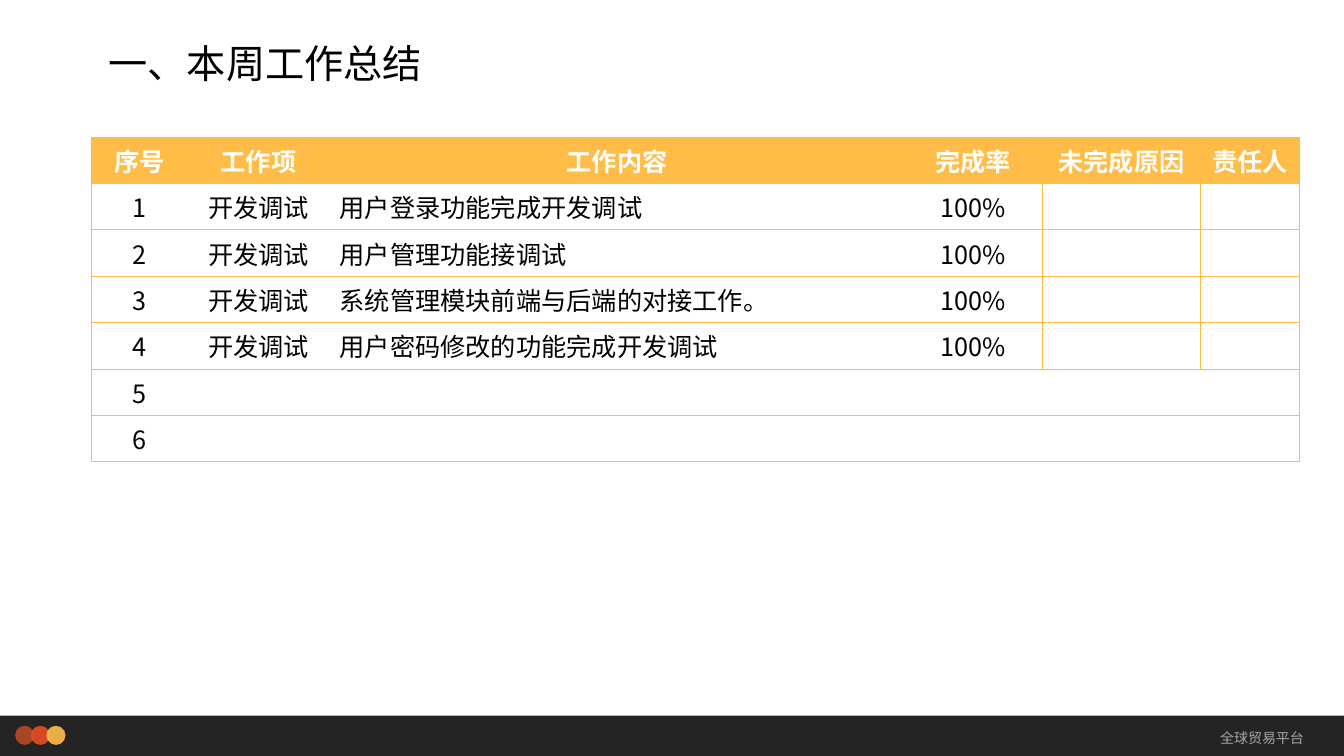
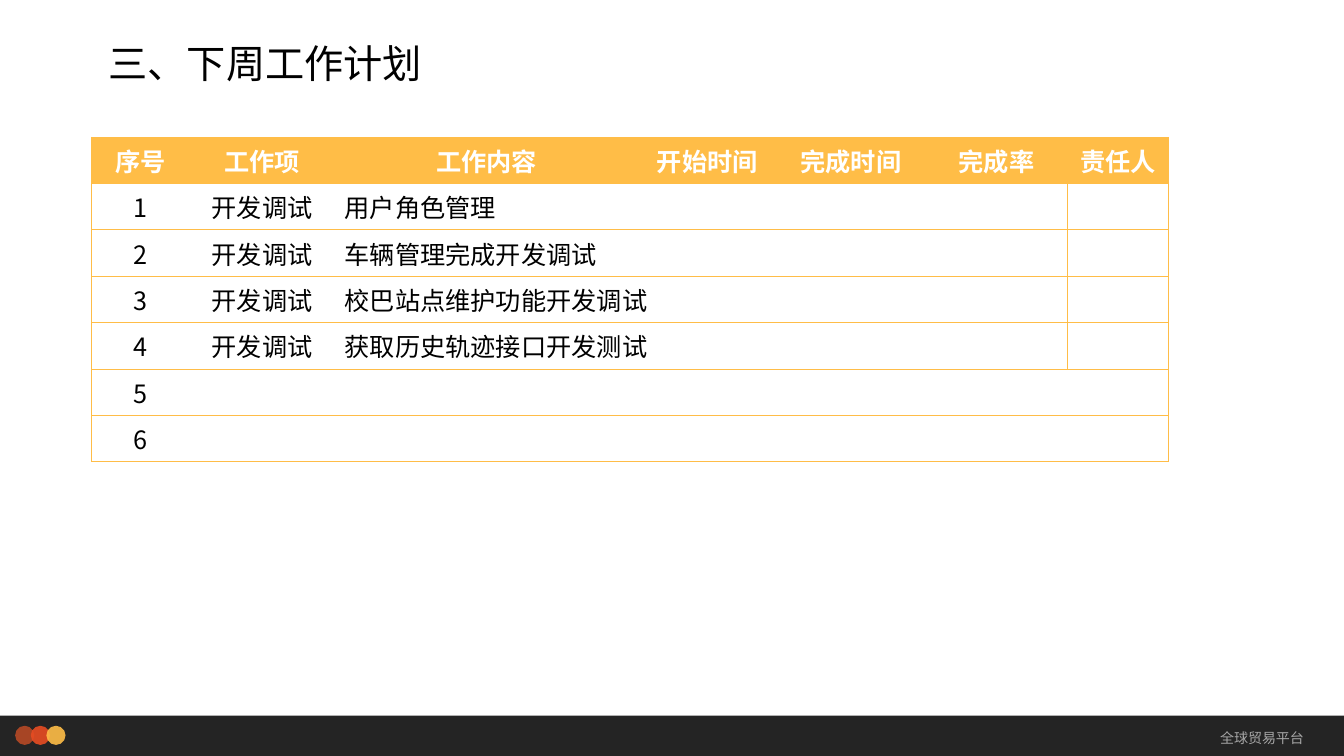
from lxml import etree
from pptx import Presentation
from pptx.dml.color import RGBColor
from pptx.enum.shapes import MSO_SHAPE
from pptx.enum.text import MSO_ANCHOR, PP_ALIGN
from pptx.oxml.ns import qn
from pptx.util import Inches, Pt

LEFT, CENTER, RIGHT = PP_ALIGN.LEFT, PP_ALIGN.CENTER, PP_ALIGN.RIGHT
MIDDLE, BOTTOM = MSO_ANCHOR.MIDDLE, MSO_ANCHOR.BOTTOM
RECTANGLE, OVAL = MSO_SHAPE.RECTANGLE, MSO_SHAPE.OVAL

WIDTH, HEIGHT = 13.33, 7.5
FONT = "Noto Sans CJK SC"
AMBER, WHITE, BLACK, GRAY, BAND = "FFBD47", "FFFFFF", "000000", "A6A6A6", "0D0D0D"
DOTS = ["B64926", "E84C22", AMBER]
BAND_TOP, DOT_SIZE, DOT_STEP = 7.1, 0.19, 0.155
TABLE_LEFT, TABLE_TOP, ROW_HEIGHT = 0.91, 1.36, 0.46
ROW_COUNT = 6
CONTENT_FIRST, CONTENT_LAST = 2, 4
PLAIN_STYLE = "{2D5ABB26-0587-4C30-8999-92F81FD0307C}"
FOOTER = "全球贸易平台"

PAGES = [
    {
        "title": "一、本周工作总结",
        "widths": [0.95, 1.41, 2.93, 1.33, 1.44, 1.37, 1.57, 0.98],
        "headers": ["序号", "工作项", "工作内容", "", "", "完成率", "未完成原因", "责任人"],
        "merge_header": True,
        "ruled_columns": 2,
        "tasks": [
            ("开发调试", "用户登录功能完成开发调试", "100%"),
            ("开发调试", "用户管理功能接调试", "100%"),
            ("开发调试", "系统管理模块前端与后端的对接工作。", "100%"),
            ("开发调试", "用户密码修改的功能完成开发调试", "100%"),
        ],
    },
    {
        "title": "三、下周工作计划",
        "widths": [0.97, 1.44, 3.01, 1.37, 1.48, 1.41, 1],
        "headers": ["序号", "工作项", "工作内容", "开始时间", "完成时间", "完成率", "责任人"],
        "merge_header": False,
        "ruled_columns": 1,
        "tasks": [
            ("开发调试", "用户角色管理", ""),
            ("开发调试", "车辆管理完成开发调试", ""),
            ("开发调试", "校巴站点维护功能开发调试", ""),
            ("开发调试", "获取历史轨迹接口开发测试", ""),
        ],
    },
]


def color(value):
    return RGBColor.from_string(value)


def write(frame, text, size, ink, align=LEFT, bold=False):
    frame.text = text
    para = frame.paragraphs[0]
    para.alignment = align
    for span in para.runs:
        span.font.size = Pt(size)
        span.font.bold = bold
        span.font.name = FONT
        span.font.color.rgb = color(ink)
        east_asian = etree.SubElement(span.font._element, qn("a:ea"))
        east_asian.set("typeface", FONT)
    return para


def add_text(page, area, text, size, ink, align, anchor):
    frame = page.shapes.add_textbox(*map(Inches, area)).text_frame
    frame.word_wrap = True
    frame.vertical_anchor = anchor
    return write(frame, text, size, ink, align)


def add_translucent(page, kind, area, fill):
    shape = page.shapes.add_shape(kind, *map(Inches, area))
    shape.shadow.inherit = False
    shape.line.fill.background()
    shape.fill.solid()
    shape.fill.fore_color.rgb = color(fill)
    tint = shape._element.spPr.find(qn("a:solidFill"))[0]
    etree.SubElement(tint, qn("a:alpha")).set("val", "90000")


def add_frame(page, title):
    add_translucent(page, RECTANGLE, (0, BAND_TOP, WIDTH, HEIGHT - BAND_TOP), BAND)
    for index, fill in enumerate(DOTS):
        left = 0.15 + index * DOT_STEP
        add_translucent(page, OVAL, (left, BAND_TOP + 0.1, DOT_SIZE, DOT_SIZE), fill)
    add_text(page, (10.77, BAND_TOP, 2.26, 0.44), FOOTER, 10, GRAY, RIGHT, MIDDLE)
    heading = add_text(page, (0.98, 0.15, 10, 0.76), title, 28, BLACK, LEFT, BOTTOM)
    heading.line_spacing = 0.9


def add_border(cell, side):
    line = etree.SubElement(cell._tc.get_or_add_tcPr(), qn(f"a:ln{side}"))
    line.set("w", str(Pt(0.5)))
    fill = etree.SubElement(line, qn("a:solidFill"))
    etree.SubElement(fill, qn("a:srgbClr")).set("val", AMBER)


def table_rows(content):
    column_count = len(content["headers"])
    rows = [content["headers"]]
    for number in range(1, ROW_COUNT + 1):
        row = [str(number)] + [""] * (column_count - 1)
        if number <= len(content["tasks"]):
            row[1], row[CONTENT_FIRST], row[CONTENT_LAST + 1] = content["tasks"][number - 1]
        rows.append(row)
    return rows


def add_task_table(page, content):
    rows, widths = table_rows(content), content["widths"]
    area = (TABLE_LEFT, TABLE_TOP, sum(widths), ROW_HEIGHT * len(rows))
    table = page.shapes.add_table(len(rows), len(widths), *map(Inches, area)).table
    table._tbl.tblPr.find(qn("a:tableStyleId")).text = PLAIN_STYLE
    table.horz_banding = False
    for column, width in zip(table.columns, widths):
        column.width = Inches(width)
    last = len(widths) - 1
    first_ruled = len(widths) - content["ruled_columns"]
    for r, row in enumerate(rows):
        is_header = r == 0
        has_task = 0 < r <= len(content["tasks"])
        for c, text in enumerate(row):
            cell = table.cell(r, c)
            align = LEFT if has_task and c == CONTENT_FIRST else CENTER
            write(cell.text_frame, text, 18, WHITE if is_header else BLACK, align, is_header)
            cell.vertical_anchor = MIDDLE
            if c == 0 or has_task and c >= first_ruled:
                add_border(cell, "L")
            if c == last:
                add_border(cell, "R")
            add_border(cell, "T")
            add_border(cell, "B")
            cell.fill.solid()
            cell.fill.fore_color.rgb = color(AMBER if is_header else WHITE)
        if has_task or is_header and content["merge_header"]:
            table.cell(r, CONTENT_FIRST).merge(table.cell(r, CONTENT_LAST))


def main():
    deck = Presentation()
    deck.slide_width, deck.slide_height = Inches(WIDTH), Inches(HEIGHT)
    for content in PAGES:
        page = deck.slides.add_slide(deck.slide_layouts[6])
        add_frame(page, content["title"])
        add_task_table(page, content)
    deck.save("out.pptx")


if __name__ == "__main__":
    main()
